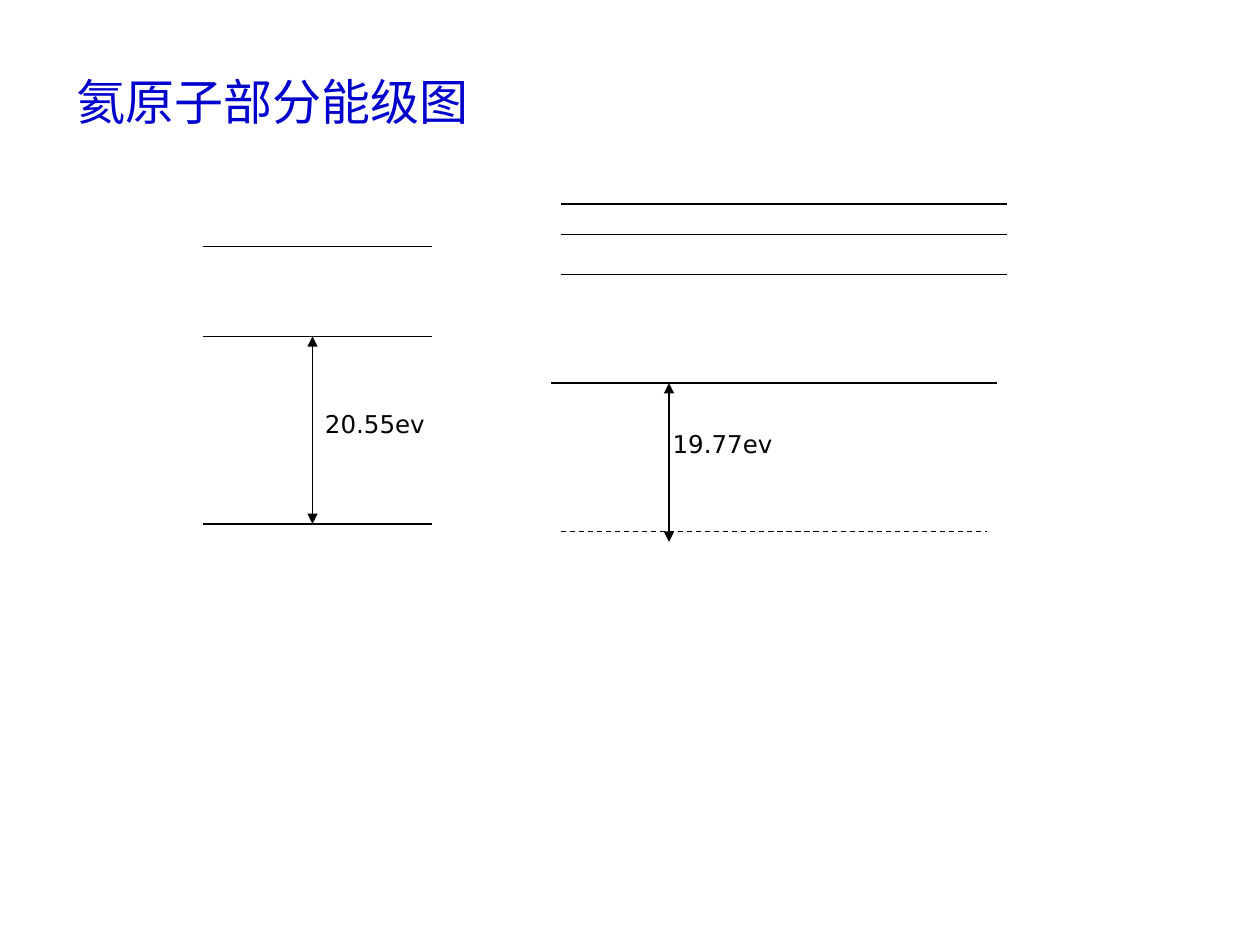
from lxml.etree import SubElement
from pptx import Presentation
from pptx.dml.color import RGBColor
from pptx.enum.dml import MSO_LINE_DASH_STYLE as DASH
from pptx.enum.shapes import MSO_CONNECTOR as CONN
from pptx.enum.text import MSO_ANCHOR as ANCHOR, MSO_AUTO_SIZE as AUTO, PP_ALIGN as ALIGN
from pptx.oxml.ns import qn
from pptx.util import Pt

BLACK, BLUE = "000000", "0000CC"


def color(hex_code):
    return RGBColor.from_string(hex_code)


def place(sp, x, y, w, h):
    sp.left, sp.top, sp.width, sp.height = Pt(x), Pt(y), Pt(w), Pt(h)


def write(sp, text, font, size, hex_code):
    tf = sp.text_frame
    tf.word_wrap = True
    tf.auto_size = AUTO.SHAPE_TO_FIT_TEXT
    tf.vertical_anchor = ANCHOR.TOP
    p = tf.paragraphs[0]
    p.alignment = ALIGN.LEFT
    r = p.add_run()
    r.text = text
    r.font.name, r.font.size = font, Pt(size)
    r.font.color.rgb = color(hex_code)


def add_line(shapes, x1, y1, x2, y2, dashed=False, arrows=False):
    line = shapes.add_connector(CONN.STRAIGHT, Pt(x1), Pt(y1), Pt(x2), Pt(y2))
    line.line.color.rgb = color(BLACK)
    line.line.width = Pt(0.75)
    if dashed:
        line.line.dash_style = DASH.DASH
    if arrows:
        ln = line.line._get_or_add_ln()
        for end in ("a:headEnd", "a:tailEnd"):
            SubElement(ln, qn(end), type="triangle")
    SubElement(line._element.spPr, qn("a:effectLst"))


def add_title(s, box):
    title = s.shapes.title
    place(title, *box)
    write(title, "氦原子部分能级图", "Times New Roman", 28, BLUE)


def add_levels(s, box, levels, gap, label, label_at):
    """Levels are (left, right, y, dashed); gap is (x, top, bottom)."""
    x, y = box
    shapes = s.shapes.add_group_shape().shapes
    # Energy levels
    for left, right, level, dashed in levels:
        add_line(shapes, x + left, y + level, x + right, y + level, dashed)
    # Excitation energy
    gap_x, top, bottom = gap
    add_line(shapes, x + gap_x, y + top, x + gap_x, y + bottom, arrows=True)
    dx, dy = label_at
    sp = shapes.add_textbox(Pt(x + dx), Pt(y + dy), Pt(90.7), Pt(23.8))
    write(sp, label, "DejaVu Sans", 14, BLACK)


def main():
    prs = Presentation()
    prs.slide_width, prs.slide_height = Pt(720), Pt(540)
    s = prs.slides.add_slide(prs.slide_layouts[5])
    add_title(s, (36.7, 37.4, 408.2, 41))

    # Left column: three levels of equal length
    add_levels(s, (116, 141),
               [(0, 131, level, False) for level in (0, 51.2, 158.4)],
               (62.6, 51.2, 158.4), "20.55ev", (62.6, 89.4))

    # Right column: upper levels, shifted metastable level, dashed ground level
    upper = [(5.8, 260.6, level, False) for level in (0, 17.3, 40.3)]
    add_levels(s, (314.6, 116.6),
               upper + [(0, 254.9, 102.3, False), (5.8, 249.2, 187.2, True)],
               (67.7, 102.3, 193), "19.77ev", (62.7, 125.3))
    prs.save("out.pptx")


if __name__ == "__main__":
    main()
